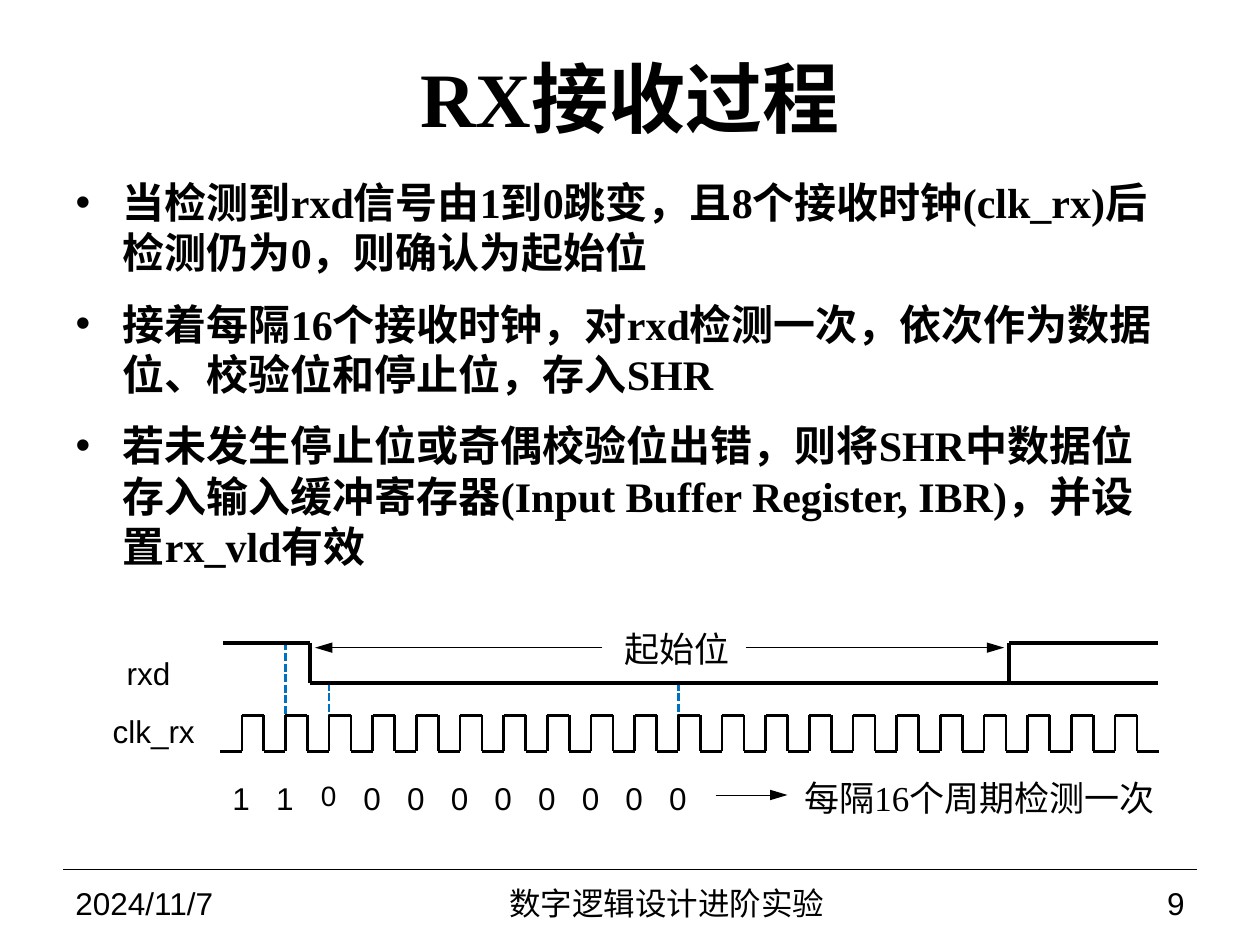
"""Build the slide on the RX receiving process with its timing diagram."""
import pptx
import pptx.dml.color
import pptx.enum.dml
import pptx.enum.shapes
import pptx.enum.text
import pptx.oxml.ns
import pptx.util
from lxml import etree

Pt = pptx.util.Pt
qn = pptx.oxml.ns.qn
ALIGN = pptx.enum.text.PP_ALIGN
MIDDLE = pptx.enum.text.MSO_ANCHOR.MIDDLE
AUTO_SIZE = pptx.enum.text.MSO_AUTO_SIZE
BLACK = pptx.dml.color.RGBColor(0x00, 0x00, 0x00)
BLUE = pptx.dml.color.RGBColor(0x00, 0x70, 0xC0)
SERIF = "Times New Roman"
SANS = "Arial"

presentation = pptx.Presentation()
presentation.slide_width = Pt(720)
presentation.slide_height = Pt(540)
slide = presentation.slides.add_slide(presentation.slide_layouts[1])


def add_line(x1, y1, x2, y2, width, color=BLACK, dashed=False, arrow=False):
    """Draw a straight line, optionally dashed or with an arrowhead at its end."""
    line = slide.shapes.add_connector(
        pptx.enum.shapes.MSO_CONNECTOR.STRAIGHT, Pt(x1), Pt(y1), Pt(x2), Pt(y2))
    line.line.color.rgb = color
    line.line.width = Pt(width)
    if dashed:
        line.line.dash_style = pptx.enum.dml.MSO_LINE.SQUARE_DOT
    if arrow:
        etree.SubElement(line.line._ln, qn("a:tailEnd"), type="triangle", w="med", len="lg")
    etree.SubElement(line._element.spPr, qn("a:effectLst"))


def add_label(left, top, width, height, runs, size=18, align=ALIGN.CENTER, side=0):
    """Add a text box holding one paragraph of (text, font) runs."""
    box = slide.shapes.add_textbox(Pt(left), Pt(top), Pt(width), Pt(height))
    frame = box.text_frame
    frame.word_wrap = True
    frame.margin_left = frame.margin_right = Pt(side)
    paragraph = frame.paragraphs[0]
    paragraph.alignment = align
    for text, font in runs:
        run = paragraph.add_run()
        run.text = text
        run.font.size = Pt(size)
        run.font.name = font
        run.font.color.rgb = BLACK
    return frame


title = slide.shapes.title
title.left, title.top, title.width, title.height = Pt(36), Pt(21.6), Pt(648), Pt(67)
title.text_frame.auto_size = AUTO_SIZE.NONE
title.text_frame.vertical_anchor = MIDDLE
paragraph = title.text_frame.paragraphs[0]
paragraph.alignment = ALIGN.CENTER
run = paragraph.add_run()
run.text = "RX接收过程"
run.font.size = Pt(44)
run.font.name = SERIF
run.font.bold = True
run.font.color.rgb = BLACK

body = slide.placeholders[1]
body.left, body.top, body.width, body.height = Pt(36), Pt(97.2), Pt(641.5), Pt(399.6)
body.text_frame.auto_size = AUTO_SIZE.NONE
points = [
    "当检测到rxd信号由1到0跳变，且8个接收时钟(clk_rx)后检测仍为0，则确认为起始位",
    "接着每隔16个接收时钟，对rxd检测一次，依次作为数据位、校验位和停止位，存入SHR",
    "若未发生停止位或奇偶校验位出错，则将SHR中数据位存入输入缓冲寄存器"
    "(Input Buffer Register, IBR)，并设置rx_vld有效",
]
for index, point in enumerate(points):
    paragraph = body.text_frame.paragraphs[0] if index == 0 else body.text_frame.add_paragraph()
    paragraph.space_before = Pt(0)
    paragraph.space_after = Pt(12)
    properties = paragraph._p.get_or_add_pPr()
    properties.set("marL", str(Pt(27)))
    properties.set("indent", str(Pt(-27)))
    etree.SubElement(properties, qn("a:buChar"), char="•")
    run = paragraph.add_run()
    run.text = point
    run.font.size = Pt(24)
    run.font.name = SERIF
    run.font.bold = True
    run.font.color.rgb = BLACK

period = 24.95
clock_left, clock_high, clock_low, pulses = 138.2, 408.8, 429.4, 21
rxd_left, rxd_fall, rxd_rise, rxd_right = 127.4, 177.1, 576.7, 661.7
rxd_high, rxd_low = 367.2, 390.2

for pulse, top in ((1, rxd_high), (2, rxd_low), (10, rxd_low)):
    x = clock_left + pulse * period
    add_line(x, top, x, clock_low, 1.5, BLUE, dashed=True)

for x1, y1, x2, y2 in (
    (rxd_left, rxd_high, rxd_fall, rxd_high),
    (rxd_fall, rxd_high, rxd_fall, rxd_low),
    (rxd_fall, rxd_low, rxd_right, rxd_low),
    (rxd_rise, rxd_high, rxd_rise, rxd_low),
    (rxd_rise, rxd_high, rxd_right, rxd_high),
):
    add_line(x1, y1, x2, y2, 2.25)

add_line(clock_left - period / 2, clock_low, clock_left, clock_low, 1.5)
for pulse in range(pulses):
    rise = clock_left + pulse * period
    fall = rise + period / 2
    add_line(rise, clock_high, rise, clock_low, 1.5)
    add_line(rise, clock_high, fall, clock_high, 1.5)
    add_line(fall, clock_high, fall, clock_low, 1.5)
    add_line(fall, clock_low, rise + period, clock_low, 1.5)

add_line(426.2, 370.1, 573.8, 370.1, 0.25, arrow=True)
add_line(344.2, 370.1, 180, 370.1, 0.25, arrow=True)
add_line(409, 454.3, 450, 454.3, 0.25, arrow=True)

add_label(355.7, 355, 62.6, 31.7, [("起始位", SERIF)], 20)
add_label(66.2, 370.1, 37.4, 28.8, [("rxd", SANS)])
add_label(58.3, 403.2, 59, 28.8, [("clk_rx", SANS)])
for index, bit in enumerate("11000000000"):
    add_label(123.8 + index * period, 441.4, 28.1, 28.8, [(bit, SANS)], 16 if index == 2 else 18)
add_label(457.9, 439.9, 203.8, 31.7,
          [("每隔16个", SERIF), ("周期", SANS), ("检测一次", SERIF)], 20)

add_line(36, 496.8, 684, 496.8, 0.75)
for left, width, text, align in (
    (36, 168, "2024/11/7", ALIGN.LEFT),
    (204, 354, "数字逻辑设计进阶实验", ALIGN.CENTER),
    (558, 126, "9", ALIGN.RIGHT),
):
    footer = add_label(left, 502.6, width, 26.6, [(text, SANS)], align=align, side=7.2)
    footer.vertical_anchor = MIDDLE

presentation.save("out.pptx")
